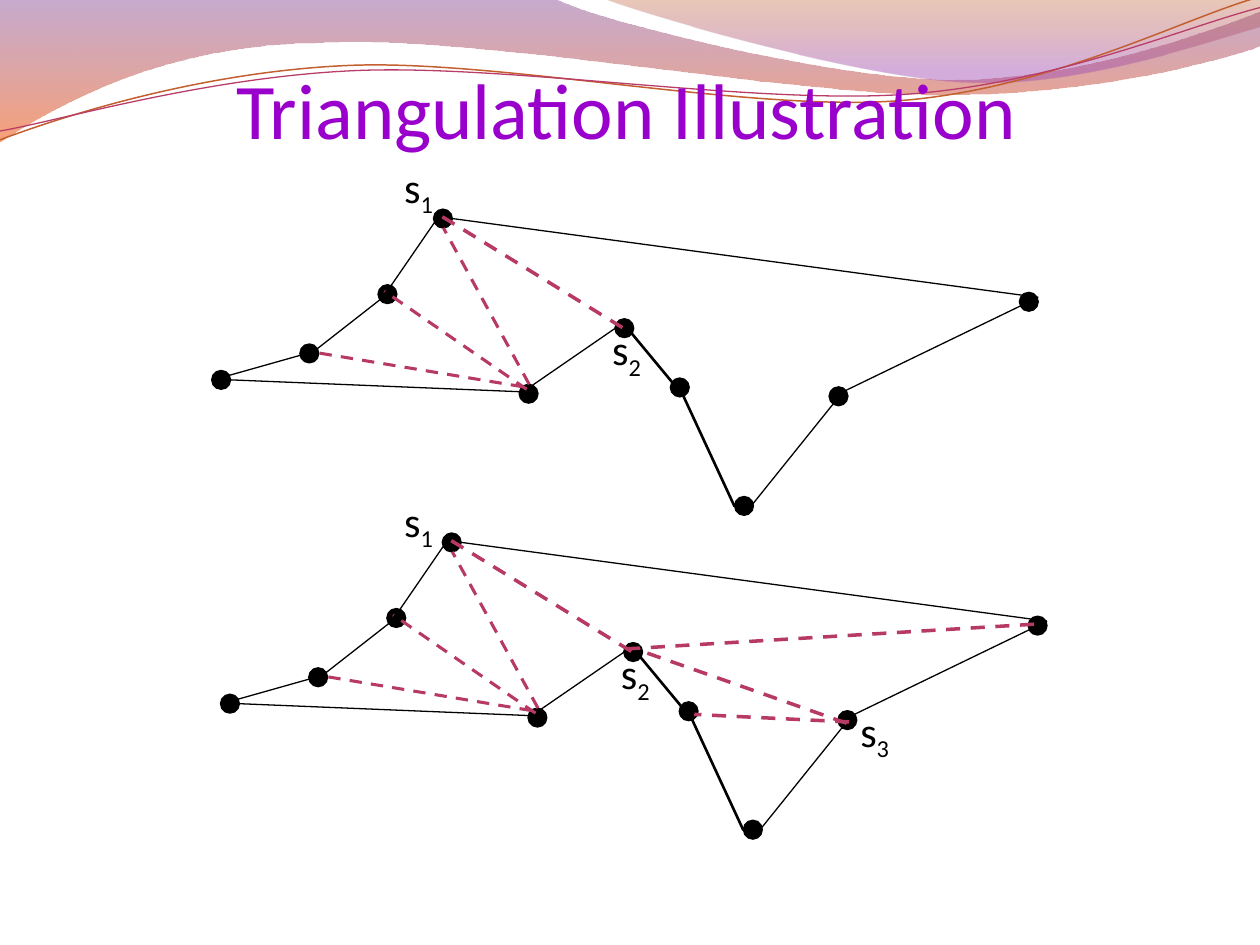
from math import cos, radians, sin

from lxml import etree
from pptx import Presentation
from pptx.dml.color import RGBColor
from pptx.enum.dml import MSO_LINE_DASH_STYLE as Dash
from pptx.enum.shapes import MSO_CONNECTOR as Connector, MSO_SHAPE as Shape
from pptx.enum.text import MSO_ANCHOR as Anchor, MSO_AUTO_SIZE as AutoSize, PP_ALIGN as Align
from pptx.oxml.ns import qn
from pptx.util import Inches, Pt

BLACK, ROSE, VIOLET = "000000", "B73965", "9900CC"
DOT = 0.15
TILT = -2.7

presentation = Presentation()
presentation.slide_width, presentation.slide_height = Inches(10), Inches(7.5)
slide = presentation.slides.add_slide(presentation.slide_layouts[6])
shapes = slide.shapes


def paint(target, color):
    """Give a fill, line or font colour format a hex colour."""
    target.rgb = RGBColor.from_string(color)


def draw_lines(lines, dx, dy, color, width, dash=None):
    """Draw straight lines moved by an offset in one line style."""
    for (x1, y1), (x2, y2) in lines:
        line = shapes.add_connector(Connector.STRAIGHT, Inches(x1 + dx), Inches(y1 + dy),
                                    Inches(x2 + dx), Inches(y2 + dy))
        paint(line.line.color, color)
        line.line.width = Pt(width)
        line.line.dash_style = dash
        etree.SubElement(line.element.spPr, qn("a:effectLst"))


# Header: box, rotation, start, segments (one point: line, three: curve),
# then gradient stops (position, colour, opacity) or line colour and width
waves = [
    ((-0.01, -0.01, 10.02, 1.14), 0, (0, -0.01),
     [[(4.4, -0.01)],
      [(4.76, 0.17), (6.64, 0.63), (7.58, 0.63)],
      [(8.53, 0.63), (9.58, 0.26), (10, 0.09)],
      [(10.01, 0.36)],
      [(9.83, 0.44), (8.7, 0.76), (7.46, 0.75)],
      [(6.22, 0.75), (3.82, 0.28), (2.57, 0.34)],
      [(1.29, 0.35), (0.46, 0.83), (-0.01, 1.13)],
      [(0, -0.01)]],
     [(0, "834591", 45), (1, "F35307", 55)], None),
    ((4.79, -0.01, 5.21, 0.7), 0, (4.79, -0.01),
     [[(5.09, 0.11), (6.82, 0.62), (7.69, 0.65)],
      [(8.56, 0.69), (9.61, 0.32), (10, 0.21)],
      [(10, 0)],
      [(4.79, -0.01)]],
     [(0, "B74915", 30), (0.8, "A14BB4", 45)], None),
    ((-0.02, 0.22, 10.02, 0.71), TILT, (0, 1.11),
     [[(0.48, 0.93), (1.58, 0.57), (2.77, 0.52)],
      [(3.95, 0.47), (5.93, 0.89), (7.13, 0.8)],
      [(8.33, 0.71), (9.38, 0.15), (9.98, -0.02)]],
     None, ("C45F30", 0.85)),
    ((-0.02, 0.3, 10.03, 0.58), TILT, (0, 1.04),
     [[(0.47, 0.96), (1.64, 0.61), (2.83, 0.56)],
      [(4.03, 0.51), (5.97, 0.83), (7.17, 0.75)],
      [(8.36, 0.67), (9.41, 0.21), (10, 0.06)]],
     None, ("B83D68", 0.75)),
]
for box, rotation, start, segments, stops, stroke in waves:
    left, top, width, height = box
    builder = shapes.build_freeform(Inches(left), Inches(top), scale=1.0)
    builder.add_line_segments([(Inches(left + width), Inches(top + height))], close=False)
    wave = builder.convert_to_shape()
    wave.shadow.inherit = False
    wave.rotation = rotation

    outline = next(wave.element.iter(qn("a:path")))
    for child in list(outline):
        outline.remove(child)
    cosine, sine = cos(radians(-rotation)), sin(radians(-rotation))
    tags = {1: "a:lnTo", 3: "a:cubicBezTo"}
    steps = [("a:moveTo", [start])] + [(tags[len(points)], points) for points in segments]
    for tag, points in steps:
        step = etree.SubElement(outline, qn(tag))
        for x, y in points:
            dx, dy = x - left - width / 2, y - top - height / 2
            etree.SubElement(step, qn("a:pt"),
                             x=str(Inches(width / 2 + dx * cosine - dy * sine)),
                             y=str(Inches(height / 2 + dx * sine + dy * cosine)))

    if stops:
        etree.SubElement(outline, qn("a:close"))
        wave.line.fill.background()
        wave.fill.gradient()
        wave.fill.gradient_angle = 270
        for stop, (position, color, opacity) in zip(wave.fill.gradient_stops, stops):
            stop.position = position
            paint(stop.color, color)
        for element, (_, _, opacity) in zip(wave.element.iter(qn("a:srgbClr")), stops):
            etree.SubElement(element, qn("a:alpha"), val=str(opacity * 1000))
    else:
        wave.fill.background()
        paint(wave.line.color, stroke[0])
        wave.line.width = Pt(stroke[1])

# Title
title = shapes.add_textbox(Inches(0.43), Inches(0.44), Inches(9.08), Inches(0.79))
frame_format = {"word_wrap": True, "vertical_anchor": Anchor.BOTTOM, "margin_left": 0,
                "margin_top": Inches(0.05), "margin_right": 0, "margin_bottom": 0}
for name, value in frame_format.items():
    setattr(title.text_frame, name, value)
paragraph = title.text_frame.paragraphs[0]
paragraph.alignment = Align.CENTER
run = paragraph.add_run()
run.text = "Triangulation Illustration"
run.font.name, run.font.size = "Calibri", Pt(45)
paint(run.font.color, VIOLET)

# Polygon shared by both diagrams, in the place of the upper one
west, lower_west, upper_west, apex = (1.71, 3.01), (2.49, 2.79), (3.04, 2.36), (3.48, 1.72)
east, inner, notch, bottom, bend = (8.24, 2.36), (4.15, 3.11), (4.92, 2.58), (5.91, 4.08), (6.69, 3.11)
edges = [(west, lower_west), (lower_west, upper_west), (upper_west, apex), (apex, east),
         (west, inner), (inner, notch), (bottom, bend), (bend, east)]
chain = [((5.39, 3.07), (5.83, 4.02)), ((5, 2.63), (5.39, 3.1))]
vertices = [(2.38, 2.73), (8.09, 2.32), (6.58, 3.07), (5.83, 3.94), (5.32, 3),
            (4.88, 2.53), (4.12, 3.05), (3.44, 1.66), (3, 2.26), (1.68, 2.94)]
thin_diagonals = [((4.15, 3.07), (2.52, 2.8)), ((4.18, 3.09), (3.05, 2.31)),
                  ((4.2, 3.05), (3.52, 1.81))]
first_diagonal = [((4.94, 2.6), (3.51, 1.72))]
new_diagonals = [((6.67, 3.16), (5.44, 3.1)), ((6.65, 3.17), (5, 2.59)),
                 ((4.9, 2.58), (8.21, 2.38))]

# Offset of each diagram, its later diagonals and its labels
diagrams = [
    (0, 0, [], [("1", 3.11, 1.23), ("2", 4.76, 2.52)]),
    (0.07, 2.57, new_diagonals, [("2", 4.83, 5.09), ("3", 6.73, 5.55), ("1", 3.11, 3.88)]),
]
for dx, dy, later_diagonals, labels in diagrams:
    draw_lines(edges, dx, dy, BLACK, 0.75)

    for x, y in vertices:
        dot = shapes.add_shape(Shape.OVAL, Inches(x + dx), Inches(y + dy), Inches(DOT), Inches(DOT))
        dot.shadow.inherit = False
        dot.fill.solid()
        paint(dot.fill.fore_color, BLACK)
        paint(dot.line.color, BLACK)
        dot.line.width = Pt(0.75)

    draw_lines(thin_diagonals, dx, dy, ROSE, 1.75, Dash.DASH)
    draw_lines(first_diagonal, dx, dy, ROSE, 2, Dash.DASH)
    draw_lines(chain, dx, dy, BLACK, 1.5)

    for number, x, y in labels:
        label = shapes.add_textbox(Inches(x), Inches(y), Inches(0.47), Inches(0.5))
        label.text_frame.word_wrap = True
        label.text_frame.auto_size = AutoSize.SHAPE_TO_FIT_TEXT
        paragraph = label.text_frame.paragraphs[0]
        paragraph.space_after = Pt(10)
        for text in ("s", number):
            run = paragraph.add_run()
            run.text = text
            run.font.name, run.font.size = "Calibri", Pt(24)
            paint(run.font.color, BLACK)
        run.font._element.set("baseline", "-25000")

    draw_lines(later_diagonals, dx, dy, ROSE, 2, Dash.DASH)

presentation.save("out.pptx")
